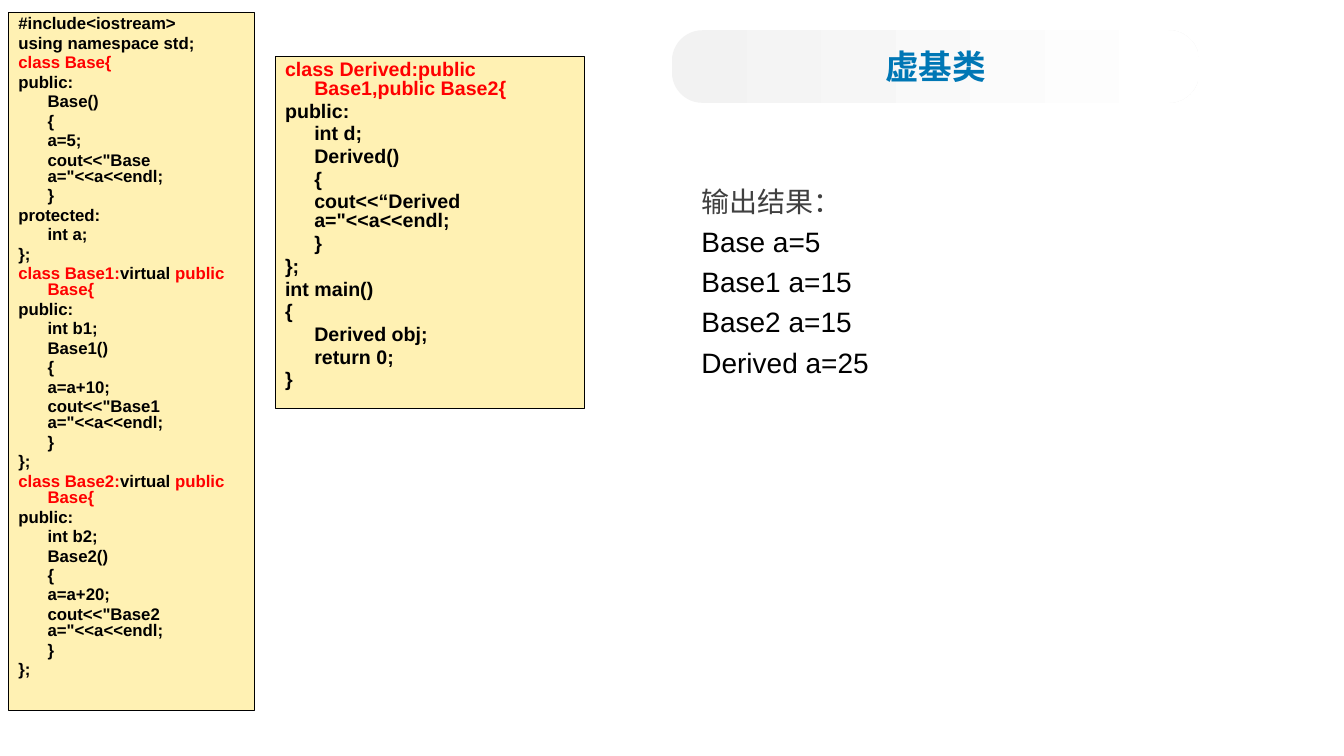
import pptx
import pptx.dml.color
import pptx.enum.shapes
import pptx.enum.text
import pptx.oxml
import pptx.oxml.ns
import pptx.util

RGBColor = pptx.dml.color.RGBColor
BLACK = RGBColor(0x00, 0x00, 0x00)
RED = RGBColor(0xFF, 0x00, 0x00)
CREAM = RGBColor(0xFF, 0xF1, 0xB3)
DARK_GREY = RGBColor(0x40, 0x40, 0x40)
LIGHT_GREY = RGBColor(0xF2, 0xF2, 0xF2)
WHITE = RGBColor(0xFF, 0xFF, 0xFF)
BLUE = RGBColor(0x00, 0x77, 0xB5)
SHAPE = pptx.enum.shapes.MSO_SHAPE
ANCHOR = pptx.enum.text.MSO_ANCHOR
ALIGN = pptx.enum.text.PP_ALIGN

COLS, ROWS = 160, 90
CELL = pptx.util.Inches(7.5) / ROWS
INDENT = pptx.util.Inches(0.29)

BASE = """#include<iostream>
using namespace std;
class Base{
public:
\tBase()
\t{
\ta=5;
\tcout<<"Base a="<<a<<endl;
\t}
protected:
\tint a;
};
"""
MIDDLE = """class Base{n}:virtual public Base{{
public:
\tint b{n};
\tBase{n}()
\t{{
\ta=a+{step};
\tcout<<"Base{n} a="<<a<<endl;
\t}}
}};
"""
DERIVED = """class Derived:public Base1,public Base2{
public:
\tint d;
\tDerived()
\t{
\tcout<<“Derived a="<<a<<endl;
\t}
};
int main()
{
\tDerived obj;
\treturn 0;
}"""
bases = BASE + "".join(MIDDLE.format(n=n, step=10 * n) for n in (1, 2))


def on_grid(*cells):
    return [pptx.util.Emu(round(c * CELL)) for c in cells]


def style(r, size, color, bold=False, name="Arial"):
    r.font.size = pptx.util.Pt(size)
    r.font.name = name
    r.font.bold = bold
    r.font.color.rgb = color


prs = pptx.Presentation()
prs.slide_width, prs.slide_height = on_grid(COLS, ROWS)
s = prs.slides.add_slide(prs.slide_layouts[6])

# Code panels: class headings are red, except the keyword "virtual"
for box, size, code in (
    ((1, 1.44, 29.28, 83.16), 12, bases),
    ((32.76, 6.72, 36.84, 41.88), 14, DERIVED),
):
    sp = s.shapes.add_shape(SHAPE.RECTANGLE, *on_grid(*box))
    sp.shadow.inherit = False
    sp.fill.solid()
    sp.fill.fore_color.rgb = CREAM
    sp.line.color.rgb = BLACK
    sp.line.width = pptx.util.Pt(0.75)
    tf = sp.text_frame
    tf.word_wrap = True
    tf.vertical_anchor = ANCHOR.TOP
    tf.text = code.strip()
    for p in tf.paragraphs:
        p.alignment = ALIGN.LEFT
        p.line_spacing = 0.8
        pPr = p._p.get_or_add_pPr()
        pPr.set("marL", str(INDENT))
        pPr.set("indent", str(-INDENT))
        pPr.insert(1, pptx.oxml.parse_xml(
            f'<a:spcBef {pptx.oxml.ns.nsdecls("a")}><a:spcPct val="20000"/></a:spcBef>'))
        color = RED if p.text.startswith("class") else BLACK
        head, keyword, rest = p.text.partition("virtual")
        p.runs[0].text = head
        style(p.runs[0], size, color, bold=True)
        if keyword:
            for part, part_color in ((keyword, BLACK), (rest, RED)):
                r = p.add_run()
                r.text = part
                style(r, size, part_color, bold=True)

# Program output
sp = s.shapes.add_textbox(*on_grid(82.32, 20.52, 69.6, 37.32))
tf = sp.text_frame
tf.word_wrap = True
tf.text = "输出结果：\nBase a=5\nBase1 a=15\nBase2 a=15\nDerived a=25"
for i, p in enumerate(tf.paragraphs):
    p.line_spacing = 1.2
    style(p.runs[0], 20, BLACK if i else DARK_GREY)

# Title pill
sp = s.shapes.add_shape(SHAPE.ROUNDED_RECTANGLE, *on_grid(80, 3.6, 62.76, 8.64))
sp.adjustments[0] = 0.42
sp.shadow.inherit = False
sp.line.fill.background()
sp.fill.gradient()
sp.fill.gradient_angle = 0
for stop, position, color in zip(sp.fill.gradient_stops, (0, 0.99), (LIGHT_GREY, WHITE)):
    stop.position = position
    stop.color.rgb = color
tf = sp.text_frame
tf.vertical_anchor = ANCHOR.MIDDLE
tf.text = "虚基类"
p = tf.paragraphs[0]
p.alignment = ALIGN.CENTER
r = p.runs[0]
style(r, 24, BLUE, bold=True, name="Noto Sans CJK SC")
r.font._element.append(pptx.oxml.parse_xml(
    f'<a:ea {pptx.oxml.ns.nsdecls("a")} typeface="Noto Sans CJK SC"/>'))

prs.save("out.pptx")
